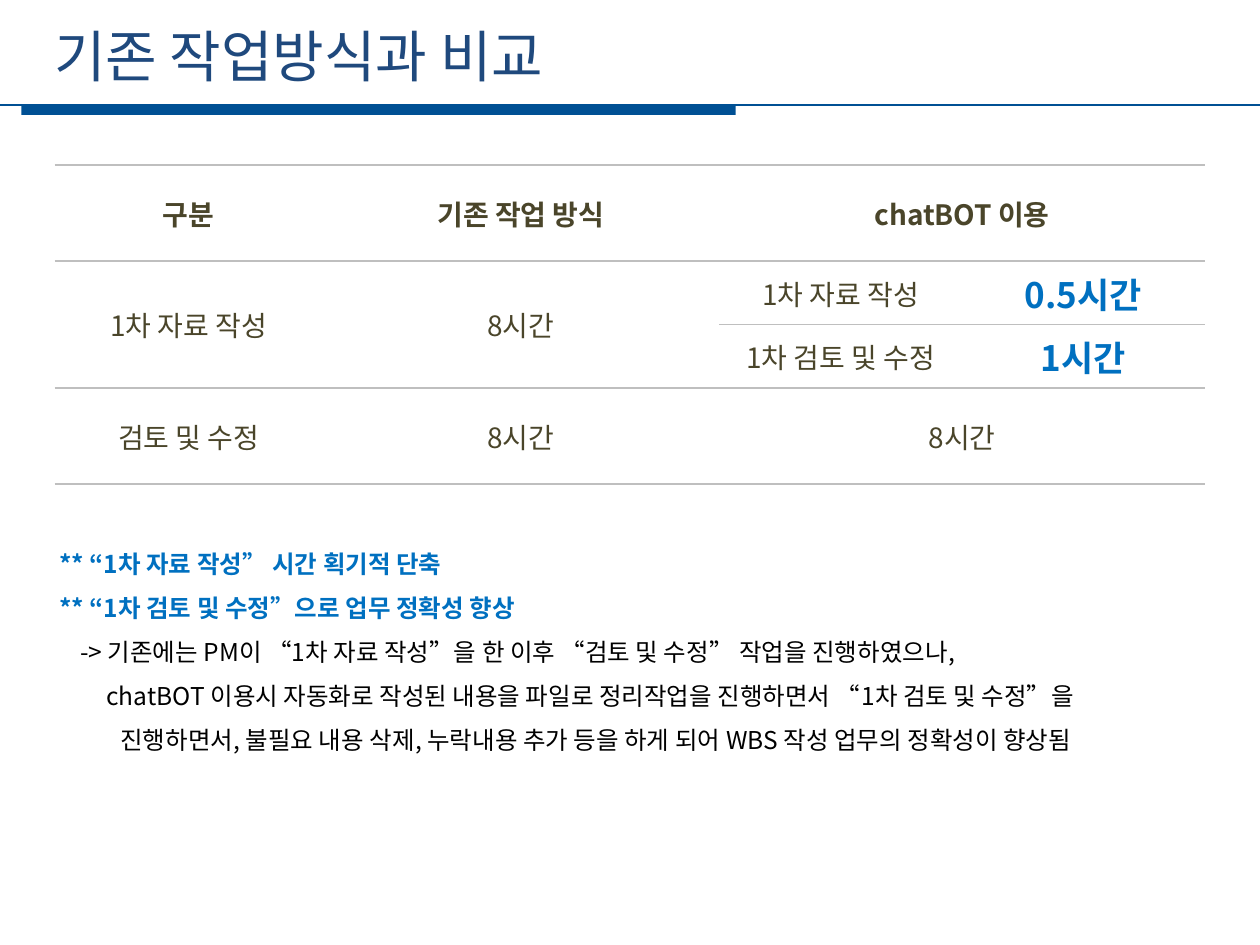
from lxml import etree
from pptx import Presentation
from pptx.dml.color import RGBColor
from pptx.enum.shapes import MSO_CONNECTOR, MSO_SHAPE
from pptx.enum.text import MSO_ANCHOR, MSO_AUTO_SIZE, PP_ALIGN
from pptx.oxml.ns import qn
from pptx.util import Pt

STRAIGHT = MSO_CONNECTOR.STRAIGHT
RECTANGLE = MSO_SHAPE.RECTANGLE
MIDDLE, TOP = MSO_ANCHOR.MIDDLE, MSO_ANCHOR.TOP
FIXED = MSO_AUTO_SIZE.NONE
LEFT, CENTER = PP_ALIGN.LEFT, PP_ALIGN.CENTER

FONT = "Noto Sans CJK KR"
NAVY, BLUE, TITLE_BLUE = "005094", "0070C0", "1F497D"
BROWN, BLACK, GRAY = "4A452A", "000000", "BFBFBF"

HEADER = {"size": Pt(16), "bold": True, "color": BROWN}
PLAIN = {"size": Pt(16), "bold": False, "color": BROWN}
SAVING = {"size": Pt(20), "bold": True, "color": BLUE}
TITLE = {"size": Pt(32), "bold": False, "color": TITLE_BLUE}
POINT = {"size": Pt(14), "bold": True, "color": BLUE}
DETAIL = {"size": Pt(14), "bold": False, "color": BLACK}

CELLS = {
    (0, 0): ("구분", HEADER),
    (0, 1): ("기존 작업 방식", HEADER),
    (0, 2): ("chatBOT 이용", HEADER),
    (1, 0): ("1차 자료 작성", PLAIN),
    (1, 1): ("8시간", PLAIN),
    (1, 2): ("1차 자료 작성", PLAIN),
    (1, 3): ("0.5시간", SAVING),
    (2, 2): ("1차 검토 및 수정", PLAIN),
    (2, 3): ("1시간", SAVING),
    (3, 0): ("검토 및 수정", PLAIN),
    (3, 1): ("8시간", PLAIN),
    (3, 2): ("8시간", PLAIN),
}
MERGES = [((0, 2), (0, 3)), ((1, 0), (2, 0)), ((1, 1), (2, 1)), ((3, 2), (3, 3))]
COLUMN_SHARES = [2.13, 3.15, 1.93, 1.93]
ROW_SHARES = [0.76, 0.43, 0.43, 0.76]
EDGE_WEIGHTS = [1, 1, 0.5, 1, 1]

NOTES = [
    ("** “1차 자료 작성” 시간 획기적 단축", POINT, 0),
    ("** “1차 검토 및 수정”으로 업무 정확성 향상", POINT, 0),
    ("-> 기존에는 PM이 “1차 자료 작성”을 한 이후 “검토 및 수정” 작업을 진행하였으나,", DETAIL, 12),
    ("chatBOT 이용시 자동화로 작성된 내용을 파일로 정리작업을 진행하면서 “1차 검토 및 수정”을", DETAIL, 27),
    ("진행하면서, 불필요 내용 삭제, 누락내용 추가 등을 하게 되어 WBS 작성 업무의 정확성이 향상됨", DETAIL, 35),
]


def color(value):
    return RGBColor.from_string(value)


def assign(target, values):
    for name, value in values.items():
        setattr(target, name, value)


def place(shape, box):
    assign(shape, dict(zip(("left", "top", "width", "height"), map(Pt, box))))


def write(para, text, style):
    span = para.add_run()
    span.text = text
    font = span.font
    assign(font, {"name": FONT, "size": style["size"], "bold": style["bold"]})
    font.color.rgb = color(style["color"])
    east_asian = etree.SubElement(span._r.get_or_add_rPr(), qn("a:ea"))
    east_asian.set("typeface", FONT)


def border(cell, side, weight):
    line = etree.SubElement(cell._tc.get_or_add_tcPr(), qn("a:ln" + side))
    line.set("w", str(Pt(weight)))
    if weight:
        fill = etree.SubElement(line, qn("a:solidFill"))
        etree.SubElement(fill, qn("a:srgbClr")).set("val", GRAY)
    else:
        etree.SubElement(line, qn("a:noFill"))


def add_title(page, box):
    title = page.shapes.title
    place(title, box)
    frame = title.text_frame
    assign(frame, {"vertical_anchor": MIDDLE, "auto_size": FIXED, "word_wrap": True})
    para = frame.paragraphs[0]
    para.alignment = LEFT
    write(para, "기존 작업방식과 비교", TITLE)


def add_rule(page, box):
    left, top, width, height = box
    bar = page.shapes.add_shape(RECTANGLE, Pt(left + 12.2), Pt(top), Pt(408.2), Pt(height))
    bar.shadow.inherit = False
    bar.fill.solid()
    bar.fill.fore_color.rgb = color(NAVY)
    bar.line.fill.background()
    rule = page.shapes.add_connector(STRAIGHT, Pt(left), Pt(top), Pt(left + width), Pt(top))
    rule.line.width = Pt(1.25)
    rule.line.color.rgb = color(NAVY)
    etree.SubElement(rule._element.spPr, qn("a:effectLst"))


def add_comparison(page, box):
    table = page.shapes.add_table(
        len(ROW_SHARES), len(COLUMN_SHARES), *map(Pt, box)
    ).table
    assign(table, {"first_row": False, "horz_banding": False})
    for column, share in zip(table.columns, COLUMN_SHARES):
        column.width = Pt(box[2] * share / sum(COLUMN_SHARES))
    for row, share in zip(table.rows, ROW_SHARES):
        row.height = Pt(box[3] * share / sum(ROW_SHARES))
    for first, last in MERGES:
        table.cell(*first).merge(table.cell(*last))
    for row in range(len(ROW_SHARES)):
        for column in range(len(COLUMN_SHARES)):
            cell = table.cell(row, column)
            below = row + cell.span_height if cell.is_merge_origin else row + 1
            inside_merge = row == 2 and column < 2
            weights = {
                "L": 0,
                "R": 0,
                "T": 0 if inside_merge else EDGE_WEIGHTS[row],
                "B": EDGE_WEIGHTS[below],
            }
            for side, weight in weights.items():
                border(cell, side, weight)
            cell.fill.background()
            cell.vertical_anchor = MIDDLE
            if (row, column) in CELLS:
                para = cell.text_frame.paragraphs[0]
                para.alignment = CENTER
                write(para, *CELLS[row, column])


def add_notes(page, box):
    body = page.placeholders[1]
    place(body, box)
    frame = body.text_frame
    assign(frame, {"vertical_anchor": TOP, "auto_size": FIXED, "word_wrap": False})
    for index, (text, style, indent) in enumerate(NOTES):
        para = frame.add_paragraph() if index else frame.paragraphs[0]
        assign(para, {"line_spacing": 1.5, "space_before": Pt(0), "alignment": LEFT})
        properties = para._p.get_or_add_pPr()
        properties.set("marL", str(Pt(indent)))
        properties.set("indent", "0")
        etree.SubElement(properties, qn("a:buNone"))
        write(para, text, style)


def main():
    deck = Presentation()
    assign(deck, {"slide_width": Pt(720), "slide_height": Pt(540)})
    page = deck.slides.add_slide(deck.slide_layouts[1])
    add_rule(page, (0, 59.8, 720, 5.8))
    add_title(page, (23.8, 8.6, 645, 46))
    add_comparison(page, (31.2, 94.3, 657.4, 172))
    add_notes(page, (26.6, 301.7, 667.4, 131))
    deck.save("out.pptx")


if __name__ == "__main__":
    main()
